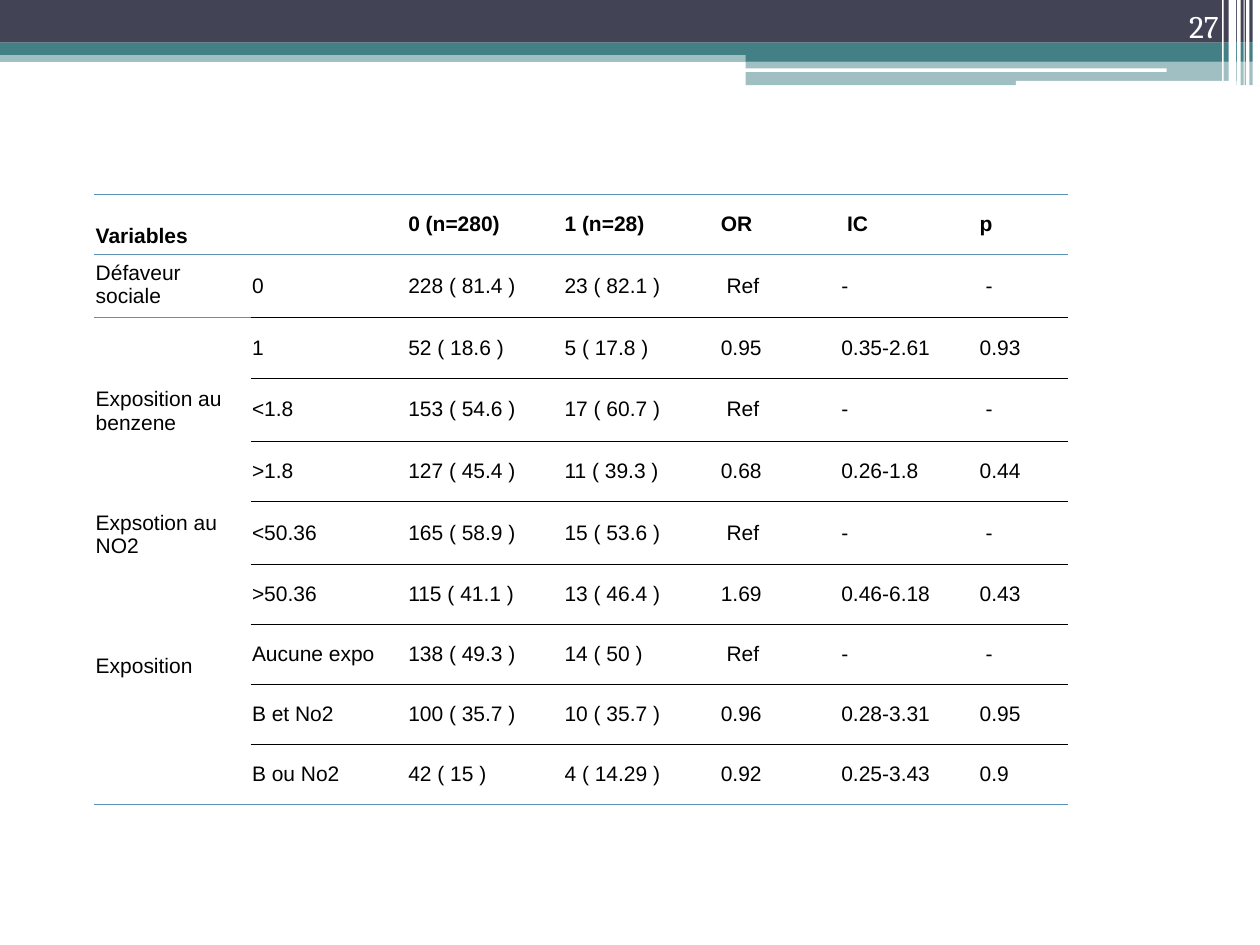
from dataclasses import dataclass
from typing import Optional

from lxml.etree import SubElement
from pptx import Presentation
from pptx.dml.color import RGBColor
from pptx.enum.shapes import MSO_SHAPE as Shape
from pptx.enum.text import MSO_ANCHOR as Anchor, PP_ALIGN as Align
from pptx.oxml.ns import qn
from pptx.util import Cm, Pt


@dataclass(frozen=True)
class Theme:
    navy: str = "424456"
    teal: str = "438086"
    white: str = "FFFFFF"
    black: str = "000000"
    rule: str = "5C92B5"
    number_font: str = "Cambria"
    table_font: str = "Arial"
    number_size: int = 18
    table_size: int = 12
    rule_width: float = 0.45


@dataclass(frozen=True)
class Band:
    """A filled bar of the header, measured in centimetres."""
    left: float
    top: float
    width: float
    height: float
    color: str
    opacity: int = 100
    rounded: bool = False


THEME = Theme()
SLIDE_W, SLIDE_H = 25.4, 19.05
STRIPES = [(25.25, 0.15, 1.73), (25.12, 0.07, 1.73), (25.07, 0.02, 1.73),
           (24.94, 0.07, 1.73), (24.77, 0.15, 1.63), (24.64, 0.03, 1.63)]
BANDS = [
    Band(0, 1.02, SLIDE_W, 0.23, THEME.teal, opacity=50),
    Band(0, 0, SLIDE_W, 0.86, THEME.navy),
    Band(0, 0.86, SLIDE_W, 0.25, THEME.teal),
    Band(15.03, 0.99, 10.37, 0.25, THEME.teal),
    Band(15.03, 1.22, 10.37, 0.5, THEME.teal, opacity=50),
    Band(15.02, 1.38, 8.5, 0.07, THEME.white, rounded=True),
    Band(20.48, 1.63, 4.45, 0.1, THEME.white, rounded=True),
    *(Band(left, 0, width, height, THEME.white) for left, width, height in STRIPES),
]

COL_WIDTHS = [3.15, 3.15, 3.15, 3.15, 2.43, 2.79, 1.8]
ROW_HEIGHT = 1.21
ROWS = [
    ["Variables", "", "0 (n=280)", "1 (n=28)", "OR", " IC", "p"],
    ["Défaveur sociale", "0", "228 ( 81.4 )", "23 ( 82.1 )", " Ref", "-", " -"],
    ["", "1", "52 ( 18.6 )", "5 ( 17.8 )", "0.95", "0.35-2.61", "0.93"],
    ["Exposition au benzene", "<1.8", "153 ( 54.6 )", "17 ( 60.7 )", " Ref", "-", " -"],
    ["", ">1.8", "127 ( 45.4 )", "11 ( 39.3 )", "0.68", "0.26-1.8", "0.44"],
    ["Expsotion au NO2", "<50.36", "165 ( 58.9 )", "15 ( 53.6 )", " Ref", "-", " -"],
    ["", ">50.36", "115 ( 41.1 )", "13 ( 46.4 )", "1.69", "0.46-6.18", "0.43"],
    ["Exposition", "Aucune expo", "138 ( 49.3 )", "14 ( 50 )", " Ref", "-", " -"],
    ["", "B et No2", "100 ( 35.7 )", "10 ( 35.7 )", "0.96", "0.28-3.31", "0.95"],
    ["", "B ou No2", "42 ( 15 )", "4 ( 14.29 )", "0.92", "0.25-3.43", "0.9"],
]
NO_STYLE_NO_GRID = "{2D5ABB26-0587-4C30-8999-92F81FD0307C}"


def set_all(target, values: dict) -> None:
    for name, value in values.items():
        setattr(target, name, value)


def write(tf, text: str, font: str, size: int, color: str, bold: bool = False):
    p = tf.paragraphs[0]
    r = p.add_run()
    r.text = text
    set_all(r.font, {"name": font, "size": Pt(size), "bold": bold})
    r.font.color.rgb = RGBColor.from_string(color)
    return p


def draw_band(s, band: Band) -> None:
    kind = Shape.ROUNDED_RECTANGLE if band.rounded else Shape.RECTANGLE
    sp = s.shapes.add_shape(kind, Cm(band.left), Cm(band.top), Cm(band.width), Cm(band.height))
    sp.shadow.inherit = False
    sp.line.fill.background()
    sp.fill.solid()
    sp.fill.fore_color.rgb = RGBColor.from_string(band.color)
    if band.opacity < 100:
        color = sp.fill._xPr.find(f".//{qn('a:srgbClr')}")
        SubElement(color, qn("a:alpha"), val=str(band.opacity * 1000))


def draw_page_number(s, text: str) -> None:
    tf = s.shapes.add_textbox(Cm(22.71), Cm(0), Cm(2.11), Cm(1.02)).text_frame
    set_all(tf, {"word_wrap": True, "vertical_anchor": Anchor.BOTTOM})
    p = write(tf, text, THEME.number_font, THEME.number_size, THEME.white)
    p.alignment = Align.RIGHT


def rule_color(boundary: int, col: int) -> Optional[str]:
    """Colour of the rule above row number `boundary`, if there is one."""
    if boundary in (0, 1, len(ROWS)):
        return THEME.rule
    return THEME.black if col else None


def add_rule(cell, tag: str, color: Optional[str]) -> None:
    if color is None:
        return
    ln = SubElement(cell._tc.get_or_add_tcPr(), qn(tag), w=str(Pt(THEME.rule_width)))
    SubElement(SubElement(ln, qn("a:solidFill")), qn("a:srgbClr"), val=color)


def cell_anchor(row: int, col: int):
    if col:
        return Anchor.MIDDLE
    return Anchor.TOP if row == 1 else Anchor.BOTTOM


def draw_table(s) -> None:
    frame = s.shapes.add_table(len(ROWS), len(COL_WIDTHS), Cm(1.9), Cm(3.92),
                               Cm(sum(COL_WIDTHS)), Cm(ROW_HEIGHT * len(ROWS)))
    table = frame.table
    set_all(table, {"first_row": False, "horz_banding": False})
    table._tbl.tblPr.find(qn("a:tableStyleId")).text = NO_STYLE_NO_GRID
    for column, width in zip(table.columns, COL_WIDTHS):
        column.width = Cm(width)
    for i, texts in enumerate(ROWS):
        table.rows[i].height = Cm(ROW_HEIGHT)
        for j, text in enumerate(texts):
            cell = table.cell(i, j)
            set_all(cell, {"margin_left": Cm(0.03), "margin_right": Cm(0.03),
                           "margin_top": Cm(0.13), "margin_bottom": Cm(0.13),
                           "vertical_anchor": cell_anchor(i, j)})
            add_rule(cell, "a:lnT", rule_color(i, j))
            add_rule(cell, "a:lnB", rule_color(i + 1, j))
            cell.fill.background()
            if text:
                write(cell.text_frame, text, THEME.table_font, THEME.table_size,
                      THEME.black, bold=i == 0)


def main() -> None:
    prs = Presentation()
    set_all(prs, {"slide_width": Cm(SLIDE_W), "slide_height": Cm(SLIDE_H)})
    s = prs.slides.add_slide(prs.slide_layouts[6])
    for band in BANDS:
        draw_band(s, band)
    draw_page_number(s, "27")
    draw_table(s)
    prs.save("out.pptx")


if __name__ == "__main__":
    main()
